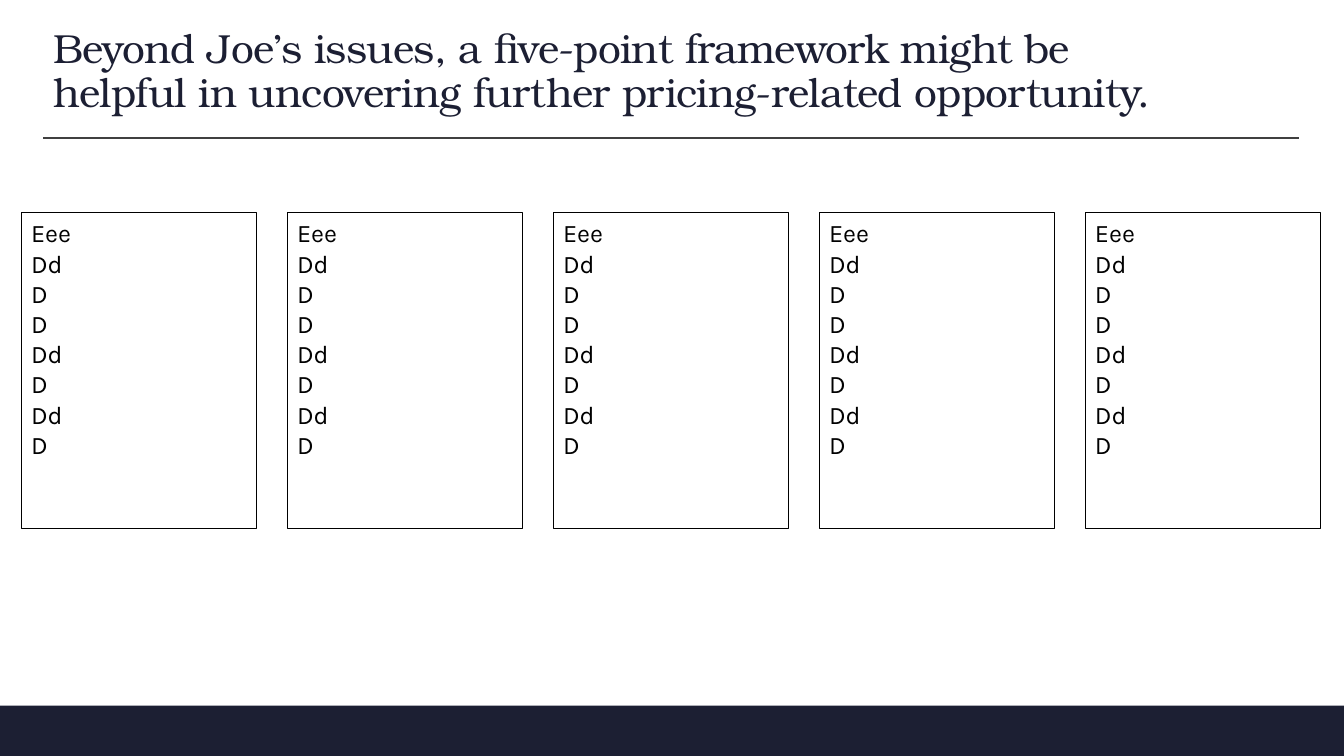
from pptx import Presentation
from pptx.dml.color import RGBColor
from pptx.enum.shapes import MSO_CONNECTOR as Conn, MSO_SHAPE as Kind
from pptx.enum.text import MSO_ANCHOR as Anchor, PP_ALIGN as Align
from pptx.oxml.ns import qn
from pptx.util import Inches, Pt
from lxml.etree import SubElement

WIDE, HIGH = 13.33, 7.5
NAVY, GREY, BLACK = "1C1F33", "404040", "000000"
TITLE = ("Beyond Joe’s issues, a five-point framework might be "
         "helpful in uncovering further pricing-related opportunity.")
POINTS = [["Eee", "Dd", "D", "D", "Dd", "D", "Dd", "D"]] * 5
HEAD = {"name": "TeX Gyre Bonum", "size": Pt(29)}
BODY = {"name": "Karla", "size": Pt(18)}


def ink(code):
    """Turn a hex string into a colour."""
    return RGBColor.from_string(code)


def write(frame, lines, style, color, anchor, space=1.0):
    """Fill a text frame with one paragraph per line."""
    frame.word_wrap = True
    frame.vertical_anchor = anchor
    for i, line in enumerate(lines):
        para = frame.paragraphs[0] if i == 0 else frame.add_paragraph()
        para.alignment = Align.LEFT
        para.line_spacing = space
        run = para.add_run()
        run.text = line
        for key, value in style.items():
            setattr(run.font, key, value)
        run.font.color.rgb = ink(color)


def panel(slide, box, fill=None, edge=None):
    """Draw a plain rectangle with an optional fill and edge."""
    shape = slide.shapes.add_shape(Kind.RECTANGLE, *map(Inches, box))
    shape.shadow.inherit = False
    if fill:
        shape.fill.solid()
        shape.fill.fore_color.rgb = ink(fill)
    else:
        shape.fill.background()
    if edge:
        shape.line.color.rgb = ink(edge)
        shape.line.width = Pt(0.75)
    else:
        shape.line.fill.background()
    return shape


def header(slide, box):
    """Place the title and the rule along the foot of the box."""
    left, top, width, height = box
    area = (left, top, width * 0.93, height - 0.17)
    text = slide.shapes.add_textbox(*map(Inches, area))
    write(text.text_frame, [TITLE], HEAD, NAVY, Anchor.BOTTOM, 0.9)
    font = text.text_frame.paragraphs[0].runs[0].font
    font._element.set("spc", "-50")
    foot = top + height
    ends = map(Inches, (left, foot, left + width, foot))
    rule = slide.shapes.add_connector(Conn.STRAIGHT, *ends)
    rule.line.color.rgb = ink(GREY)
    rule.line.width = Pt(1)
    SubElement(rule._element.spPr, qn("a:effectLst"))


def columns(slide, box, gap):
    """Share the box among equal outlined text columns."""
    left, top, width, height = box
    step = (width + gap) / len(POINTS)
    for i, lines in enumerate(POINTS):
        card = panel(slide, (left + i * step, top, step - gap, height),
                     edge=BLACK)
        write(card.text_frame, lines, BODY, BLACK, Anchor.TOP)


def main():
    """Build and save the slide."""
    deck = Presentation()
    deck.slide_width, deck.slide_height = Inches(WIDE), Inches(HIGH)
    slide = deck.slides.add_slide(deck.slide_layouts[6])
    panel(slide, (0, HIGH - 0.5, WIDE, 0.5), fill=NAVY)
    header(slide, (0.43, 0.18, 12.45, 1.19))
    columns(slide, (0.21, 2.11, 12.89, 3.13), 0.3)
    deck.save("out.pptx")


if __name__ == "__main__":
    main()
